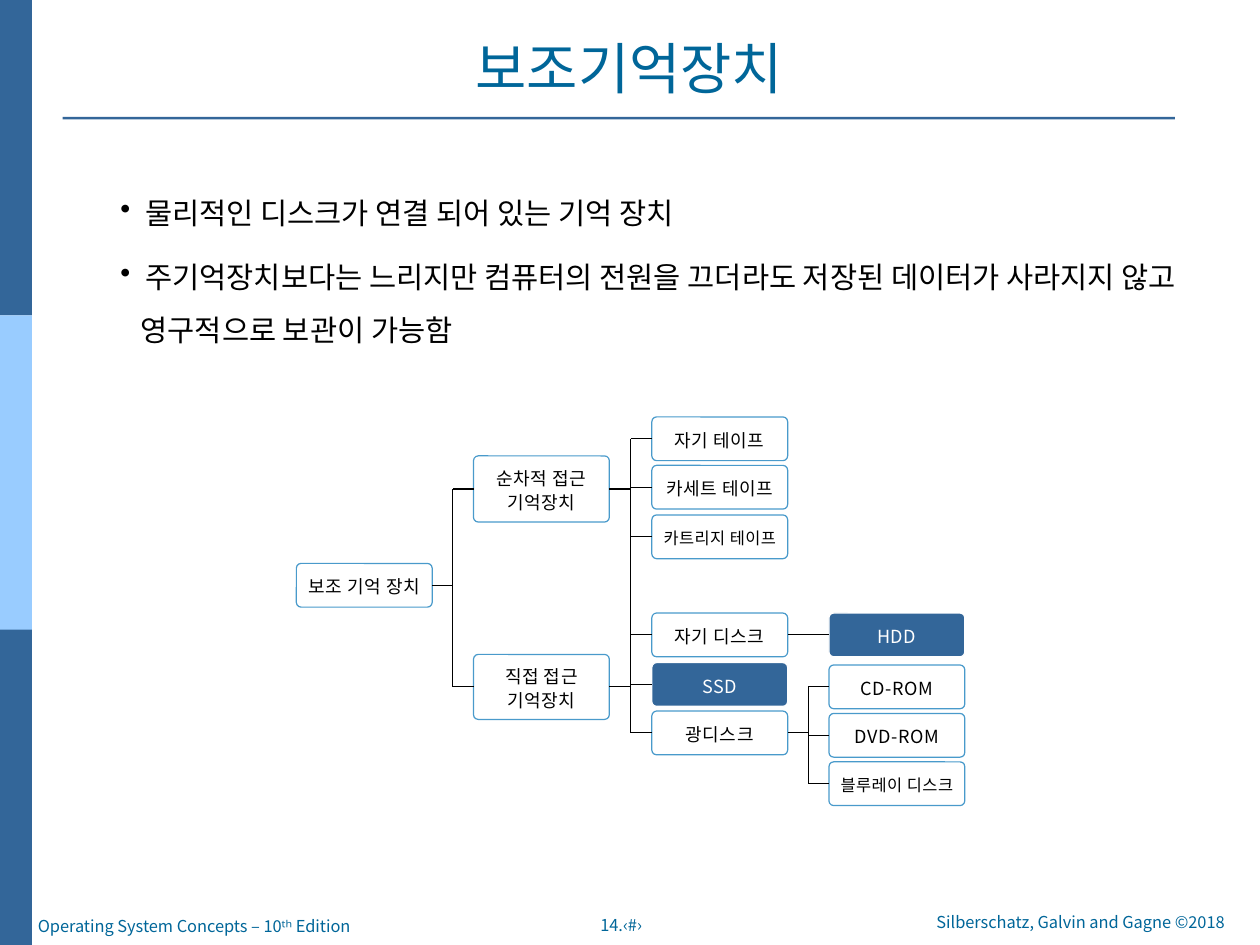
"""Build the slide on secondary storage devices and their classification tree."""
import pptx
import pptx.util
import pptx.dml.color
import pptx.enum.shapes
import pptx.enum.text
import pptx.oxml.ns
from lxml import etree

Inches, Pt = pptx.util.Inches, pptx.util.Pt
SHAPES = pptx.enum.shapes.MSO_SHAPE
ALIGN = pptx.enum.text.PP_ALIGN
qn = pptx.oxml.ns.qn

FONT = "Noto Sans CJK KR"
COLORS = {"navy": "336699", "sky": "99CCFF", "heading": "006699",
          "border": "499ACB", "text": "000000", "white": "FFFFFF"}

BARS = [
    (0, 0, 0.27, 2.67, "navy"),
    (0, 2.67, 0.27, 2.67, "sky"),
    (0, 5.33, 0.27, 2.67, "navy"),
    (0.53, 0.99, 9.42, 0.02, "navy"),
]
LABELS = [
    ("보조기억장치", (0.63, 0.3, 9.4, 0.59), 34, 40, ALIGN.CENTER),
    ("Operating System Concepts – 10ᵗʰ Edition", (0.32, 7.76, 2.99, 0.17), 10, 12, ALIGN.LEFT),
    ("14.‹#›", (5.02, 7.75, 0.48, 0.34), 10, 12, ALIGN.CENTER),
    ("Silberschatz, Galvin and Gagne ©2018", (7.67, 7.72, 2.96, 0.17), 10, 12, ALIGN.CENTER),
]
BODY = [
    ((0.8, 1.45, 9.45, 0.46), 36, [("물리적인 디스크가 연결 되어 있는 기억 장치", True)]),
    ((0.8, 2.05, 9.45, 0.86), 32, [
        ("주기억장치보다는 느리지만 컴퓨터의 전원을 끄더라도 저장된 데이터가 사라지지 않고", True),
        ("영구적으로 보관이 가능함", False)]),
]

COLUMN_LEFTS = [2.51, 4.01, 5.52, 7.02]
BOX_WIDTH, BOX_HEIGHT, CORNER = 1.15, 0.37, 0.04
NODES = [
    ("보조 기억 장치", 0, 4.77, BOX_HEIGHT, 11),
    ("순차적 접근\n기억장치", 1, 3.86, 0.56, 11),
    ("직접 접근\n기억장치", 1, 5.54, 0.55, 11),
    ("자기 테이프", 2, 3.53, BOX_HEIGHT, 11),
    ("카세트 테이프", 2, 3.94, BOX_HEIGHT, 11),
    ("카트리지 테이프", 2, 4.36, BOX_HEIGHT, 10),
    ("자기 디스크", 2, 5.19, BOX_HEIGHT, 11),
    ("SSD", 2, 5.61, BOX_HEIGHT, 11),
    ("광디스크", 2, 6.02, BOX_HEIGHT, 11),
    ("HDD", 3, 5.19, BOX_HEIGHT, 11),
    ("CD-ROM", 3, 5.63, BOX_HEIGHT, 11),
    ("DVD-ROM", 3, 6.04, BOX_HEIGHT, 11),
    ("블루레이 디스크", 3, 6.45, BOX_HEIGHT, 10),
]
HIGHLIGHTED = {"SSD", "HDD"}
BRACKETS = [
    (["보조 기억 장치"], ["순차적 접근\n기억장치", "직접 접근\n기억장치"]),
    (["순차적 접근\n기억장치", "직접 접근\n기억장치"],
     ["자기 테이프", "카세트 테이프", "카트리지 테이프", "자기 디스크", "SSD", "광디스크"]),
    (["광디스크"], ["CD-ROM", "DVD-ROM", "블루레이 디스크"]),
]
LEFT_SIDE, RIGHT_SIDE = 1, 3


def color(name):
    return pptx.dml.color.RGBColor.from_string(COLORS[name])


def style(paragraph, size, spacing, color_name, align=ALIGN.LEFT, tracking=None):
    paragraph.alignment = align
    paragraph.line_spacing = Pt(spacing)
    font = paragraph.font
    font.size, font.name = Pt(size), FONT
    font.color.rgb = color(color_name)
    properties = paragraph._p.pPr.find(qn("a:defRPr"))
    etree.SubElement(properties, qn("a:ea")).set("typeface", FONT)
    if tracking:
        properties.set("spc", str(tracking))


def clear_margins(frame):
    frame.word_wrap = True
    frame.margin_left = frame.margin_right = frame.margin_top = frame.margin_bottom = 0


def add_frame(slide, area):
    frame = slide.shapes.add_textbox(*map(Inches, area)).text_frame
    clear_margins(frame)
    return frame


def add_box(slide, kind, area, fill, border=None):
    shape = slide.shapes.add_shape(kind, *map(Inches, area))
    shape.shadow.inherit = False
    if fill:
        shape.fill.solid()
        shape.fill.fore_color.rgb = color(fill)
    else:
        shape.fill.background()
    if border:
        shape.line.color.rgb = color(border)
        shape.line.width = Pt(0.75)
    else:
        shape.line.fill.background()
    return shape


def add_node(slide, text, column, top, height, size):
    highlighted = text in HIGHLIGHTED
    area = (COLUMN_LEFTS[column], top, BOX_WIDTH, height)
    shape = add_box(slide, SHAPES.ROUNDED_RECTANGLE, area,
                    "navy" if highlighted else None, "white" if highlighted else "border")
    shape.adjustments[0] = CORNER / height
    frame = shape.text_frame
    clear_margins(frame)
    frame.vertical_anchor = pptx.enum.text.MSO_ANCHOR.MIDDLE
    frame.text = text
    for paragraph in frame.paragraphs:
        style(paragraph, size, 15 if size == 11 else 13,
              "white" if highlighted else "text", ALIGN.CENTER, 30)
    return shape


def add_line(slide, start, end):
    line = slide.shapes.add_connector(pptx.enum.shapes.MSO_CONNECTOR.STRAIGHT, *start, *end)
    line.line.color.rgb = color("text")
    line.line.width = Pt(0.65)
    etree.SubElement(line._element.spPr, qn("a:effectLst"))
    return line


def middle(shape):
    return shape.top + shape.height // 2


def add_bracket(slide, parents, children):
    trunk = (parents[0].left + parents[0].width + children[0].left) // 2
    levels = [middle(shape) for shape in children]
    add_line(slide, (trunk, min(levels)), (trunk, max(levels)))
    for group, side in ((parents, RIGHT_SIDE), (children, LEFT_SIDE)):
        for shape in group:
            level = middle(shape)
            add_line(slide, (trunk, level), (trunk, level)).end_connect(shape, side)


def add_body(slide, area, spacing, lines):
    frame = add_frame(slide, area)
    for index, (text, bulleted) in enumerate(lines):
        paragraph = frame.paragraphs[0] if index == 0 else frame.add_paragraph()
        paragraph.text = text
        properties = paragraph._p.get_or_add_pPr()
        properties.set("marL", str(Inches(0.43 if bulleted else 0.39)))
        properties.set("indent", str(Inches(-0.21 if bulleted else 0)))
        if bulleted:
            etree.SubElement(properties, qn("a:buChar")).set("char", "•")
        style(paragraph, 18, spacing, "text")


def main():
    presentation = pptx.Presentation()
    presentation.slide_width, presentation.slide_height = Inches(10.67), Inches(8)
    slide = presentation.slides.add_slide(presentation.slide_layouts[6])
    for *area, fill in BARS:
        add_box(slide, SHAPES.RECTANGLE, area, fill)
    for text, area, size, spacing, align in LABELS:
        paragraph = add_frame(slide, area).paragraphs[0]
        paragraph.text = text
        style(paragraph, size, spacing, "heading", align)
    for area, spacing, lines in BODY:
        add_body(slide, area, spacing, lines)
    nodes = {node[0]: add_node(slide, *node) for node in NODES}
    for parents, children in BRACKETS:
        add_bracket(slide, [nodes[name] for name in parents], [nodes[name] for name in children])
    link = add_line(slide, (0, 0), (0, 0))
    link.begin_connect(nodes["자기 디스크"], RIGHT_SIDE)
    link.end_connect(nodes["HDD"], LEFT_SIDE)
    presentation.save("out.pptx")


if __name__ == "__main__":
    main()
